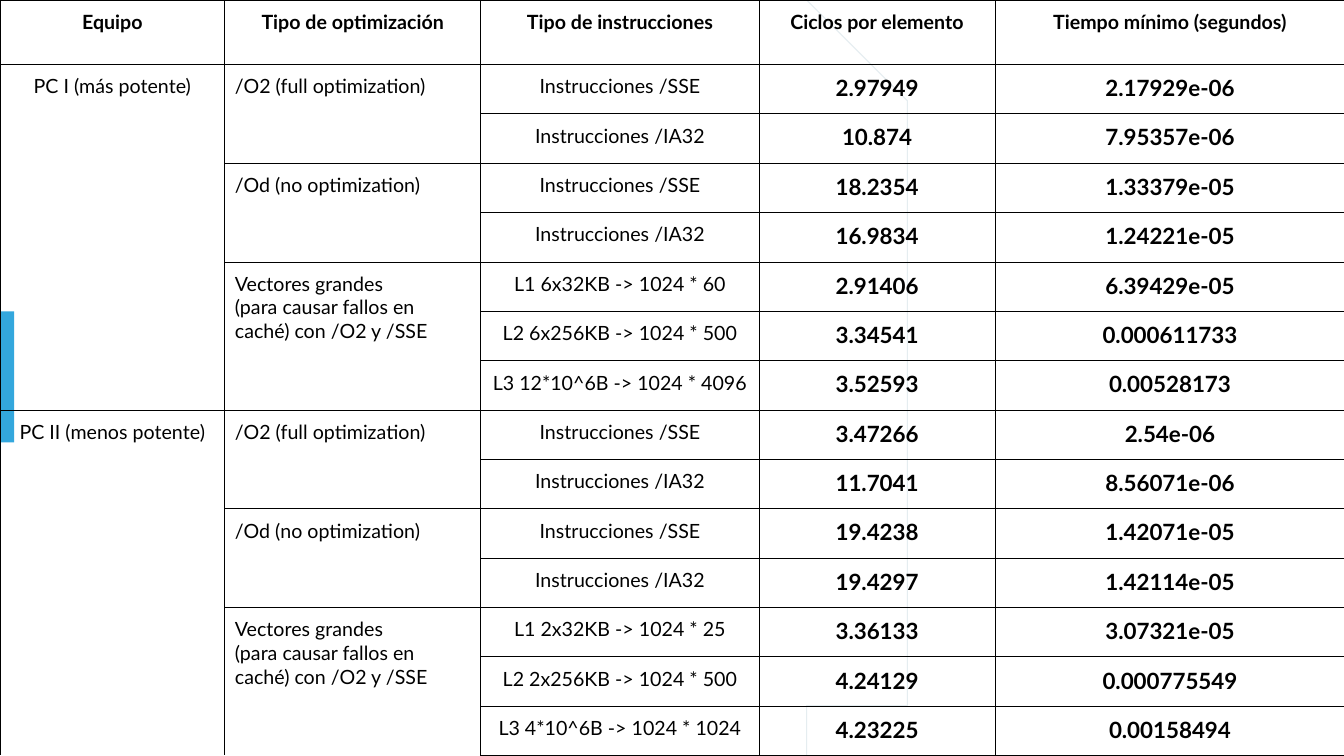
from math import sqrt

from lxml.etree import fromstring
from pptx import Presentation
from pptx.dml.color import RGBColor
from pptx.enum.shapes import MSO_SHAPE as Shape
from pptx.enum.text import PP_ALIGN as Align
from pptx.util import Inches, Pt

BLACK = RGBColor(0x00, 0x00, 0x00)
WHITE = RGBColor(0xFF, 0xFF, 0xFF)
PALE = RGBColor(0xE5, 0xED, 0xF0)
BLUE = RGBColor(0x33, 0xA7, 0xDD)

WIDTH, HEIGHT = 13.33, 7.5
HEADER_HEIGHT = 0.64
COLUMNS = [2.23, 2.54, 2.76, 2.34, 3.47]
HEADERS = ["Equipo", "Tipo de optimización", "Tipo de instrucciones",
           "Ciclos por elemento", "Tiempo mínimo (segundos)"]
SSE, IA32 = "Instrucciones /SSE", "Instrucciones /IA32"
RESULTS = [
    (SSE, "2.97949", "2.17929e-06"),
    (IA32, "10.874", "7.95357e-06"),
    (SSE, "18.2354", "1.33379e-05"),
    (IA32, "16.9834", "1.24221e-05"),
    ("L1 6x32KB -> 1024 * 60", "2.91406", "6.39429e-05"),
    ("L2 6x256KB -> 1024 * 500", "3.34541", "0.000611733"),
    ("L3 12*10^6B -> 1024 * 4096", "3.52593", "0.00528173"),
    (SSE, "3.47266", "2.54e-06"),
    (IA32, "11.7041", "8.56071e-06"),
    (SSE, "19.4238", "1.42071e-05"),
    (IA32, "19.4297", "1.42114e-05"),
    ("L1 2x32KB -> 1024 * 25", "3.36133", "3.07321e-05"),
    ("L2 2x256KB -> 1024 * 500", "4.24129", "0.000775549"),
    ("L3 4*10^6B -> 1024 * 1024", "4.23225", "0.00158494"),
]
COMPUTERS = ["PC I (más potente)", "PC II (menos potente)"]
OPTIMIZATIONS = [
    ("/O2 (full optimization)", 2),
    ("/Od (no optimization)", 2),
    ("Vectores grandes\n(para causar fallos en caché) con /O2 y /SSE", 3),
]
GROUP = sum(span for _, span in OPTIMIZATIONS)
BORDER = ('<a:{side} xmlns:a="http://schemas.openxmlformats.org/drawingml/2006/main" '
          'w="9525"><a:solidFill><a:srgbClr val="000000"/></a:solidFill></a:{side}>')


def write(cell, text, size=14, bold=False, align=Align.CENTER):
    cell.text = text
    for paragraph in cell.text_frame.paragraphs:
        paragraph.alignment = align
        font = paragraph.runs[0].font
        for name, value in {"name": "Lato", "size": Pt(size), "bold": bold}.items():
            setattr(font, name, value)
        font.color.rgb = BLACK


presentation = Presentation()
presentation.slide_width = Inches(WIDTH)
presentation.slide_height = Inches(HEIGHT)
slide = presentation.slides.add_slide(presentation.slide_layouts[6])

RADIUS, STEPS = 7, 60
arc = []
for step in range(STEPS + 1):
    y = HEIGHT * step / STEPS
    arc.append((2.24 + sqrt(RADIUS ** 2 - (y - HEIGHT / 2) ** 2), y))
builder = slide.shapes.build_freeform(0, 0, scale=Inches(1))
builder.add_line_segments(arc + [(0, HEIGHT)], close=True)
panel = builder.convert_to_shape()
panel.shadow.inherit = False
panel.fill.solid()
panel.fill.fore_color.rgb = WHITE
panel.line.color.rgb = PALE
panel.line.width = Pt(0.75)

accent = slide.shapes.add_shape(Shape.RECTANGLE, 0, Inches(3.09), Inches(0.14), Inches(1.3))
accent.shadow.inherit = False
accent.fill.solid()
accent.fill.fore_color.rgb = BLUE
accent.line.fill.background()

table = slide.shapes.add_table(len(RESULTS) + 1, len(COLUMNS), 0, 0,
                               Inches(WIDTH), Inches(HEIGHT)).table
table.first_row = table.horz_banding = False
for column, width in zip(table.columns, COLUMNS):
    column.width = Inches(width)
for row in table.rows:
    row.height = Inches((HEIGHT - HEADER_HEIGHT) / len(RESULTS))
table.rows[0].height = Inches(HEADER_HEIGHT)

for index, header in enumerate(HEADERS):
    write(table.cell(0, index), header, bold=True)
for index, (instructions, cycles, seconds) in enumerate(RESULTS, 1):
    write(table.cell(index, 2), instructions)
    write(table.cell(index, 3), cycles, 16, True)
    write(table.cell(index, 4), seconds, 16, True)

spans = []
for index, computer in enumerate(COMPUTERS):
    top = 1 + index * GROUP
    spans.append((top, 0, GROUP, computer, Align.CENTER))
    for text, span in OPTIMIZATIONS:
        spans.append((top, 1, span, text, Align.LEFT))
        top += span

inner_edges = set()
for top, column, span, text, align in spans:
    table.cell(top, column).merge(table.cell(top + span - 1, column))
    write(table.cell(top, column), text, align=align)
    for row in range(top, top + span - 1):
        inner_edges |= {(row, column, "lnB"), (row + 1, column, "lnT")}

for row in range(len(RESULTS) + 1):
    for column in range(len(COLUMNS)):
        cell = table.cell(row, column)
        for side in ("left", "right", "top", "bottom"):
            setattr(cell, f"margin_{side}", Inches(0.1))
        cell.fill.background()
        properties = cell._tc.get_or_add_tcPr()
        sides = [side for side in ("lnL", "lnR", "lnT", "lnB")
                 if (row, column, side) not in inner_edges]
        for position, side in enumerate(sides):
            properties.insert(position, fromstring(BORDER.format(side=side)))

presentation.save("out.pptx")
